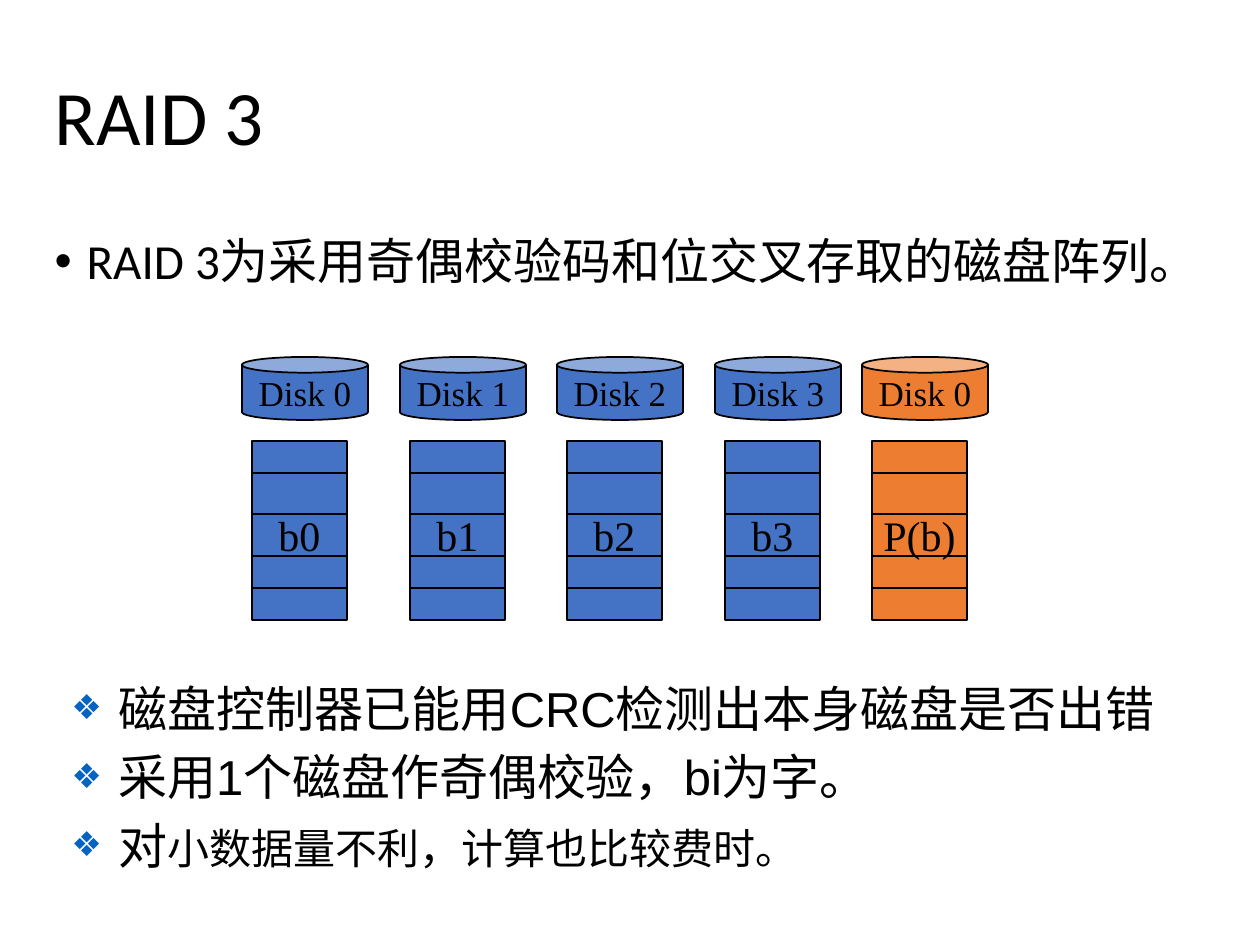
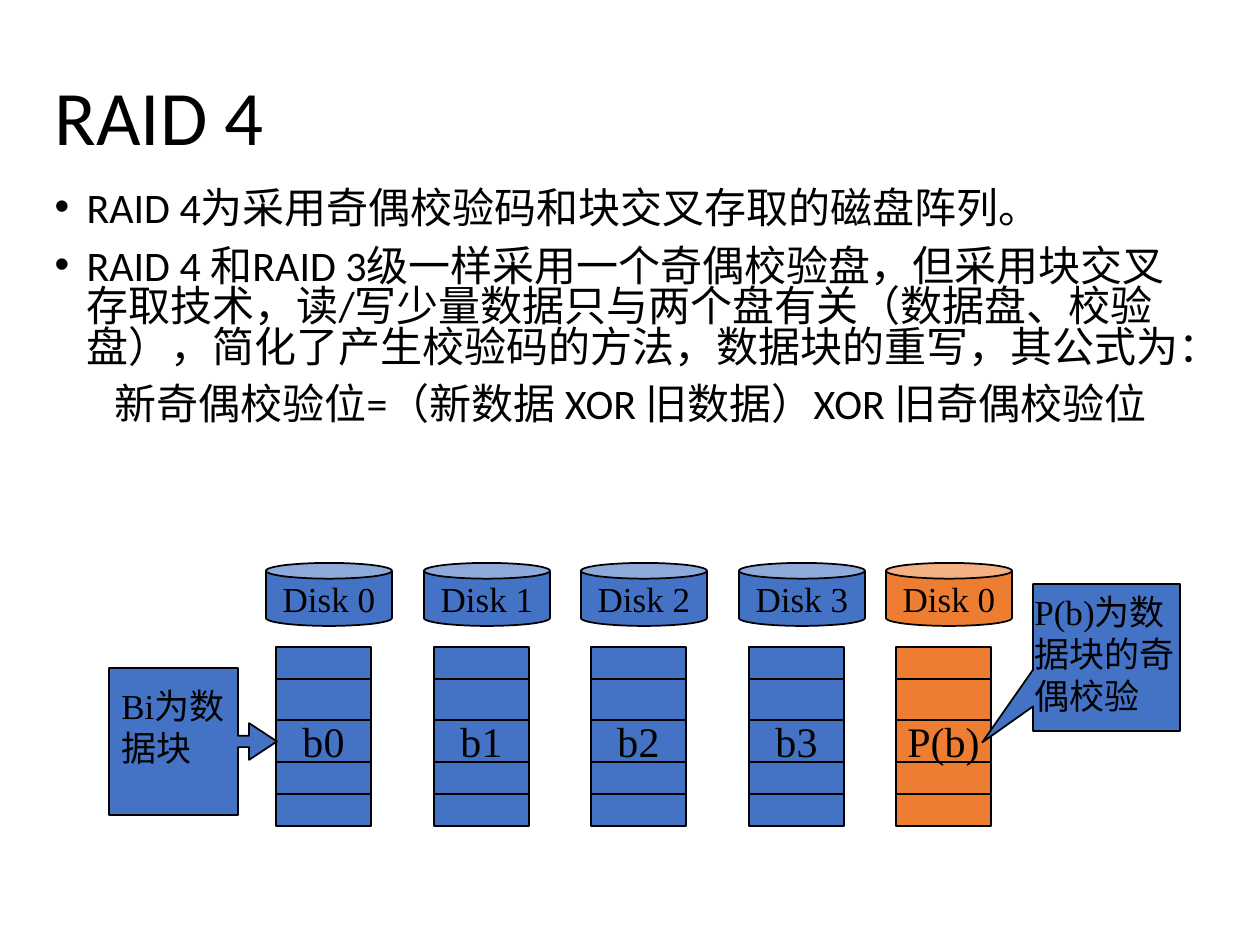
from lxml import etree
from pptx import Presentation
from pptx.dml.color import RGBColor
from pptx.enum.shapes import MSO_CONNECTOR, MSO_SHAPE
from pptx.enum.text import MSO_ANCHOR, MSO_AUTO_SIZE, PP_ALIGN
from pptx.oxml.ns import qn
from pptx.util import Pt

PX = 914400 / 126
LEFT, CENTER = PP_ALIGN.LEFT, PP_ALIGN.CENTER
TOP, MIDDLE = MSO_ANCHOR.TOP, MSO_ANCHOR.MIDDLE
CAN, RECT = MSO_SHAPE.CAN, MSO_SHAPE.RECTANGLE
WEDGE, ARROW = MSO_SHAPE.RECTANGULAR_CALLOUT, MSO_SHAPE.RIGHT_ARROW_CALLOUT
LINE = MSO_CONNECTOR.STRAIGHT

BLACK = RGBColor(0x00, 0x00, 0x00)
BLUE = RGBColor(0x44, 0x72, 0xC4)
ORANGE = RGBColor(0xED, 0x7D, 0x31)
MARK = RGBColor(0x05, 0x63, 0xC1)
SANS, ARIAL, SERIF = "Calibri", "Arial", "Times New Roman"

TITLE_BOX = (42, 42, 1177, 157)
DISKS = [  # offset, disk label, block label, colour
    (0, "Disk 0", "b0", BLUE),
    (158, "Disk 1", "b1", BLUE),
    (315, "Disk 2", "b2", BLUE),
    (473, "Disk 3", "b3", BLUE),
    (620, "Disk 0", "P(b)", ORANGE),
]
RULES = (32, 147)

RAID3 = {
    "title": "RAID 3",
    "box": (42, 231, 1218, 84),
    "size": 28,
    "pitch": 0.9,
    "body": [("RAID 3为采用奇偶校验码和位交叉存取的磁盘阵列。", "•")],
    "disks": (242, 357),
}
NOTES_BOX = (59, 672, 1138, 243)
NOTES = [
    [("磁盘控制器已能用CRC检测出本身磁盘是否出错", 28)],
    [("采用1个磁盘作奇偶校验，bi为字。", 28)],
    [("对", 28), ("小数据量不利，计算也比较费时。", 24)],
]
RAID4 = {
    "title": "RAID 4",
    "box": (42, 185, 1177, 359),
    "size": 24,
    "pitch": 0.8,
    "body": [
        ("RAID 4为采用奇偶校验码和块交叉存取的磁盘阵列。", "•"),
        ("RAID 4 和RAID 3级一样采用一个奇偶校验盘，但采用块交叉存取技术，"
         "读/写少量数据只与两个盘有关（数据盘、校验盘），简化了产生校验码的方法，"
         "数据块的重写，其公式为：", "•"),
        ("新奇偶校验位=（新数据 XOR 旧数据）XOR 旧奇偶校验位", None),
    ],
    "disks": (266, 563),
}
CALLS = [  # shape, box, adjustments, text, text box
    (WEDGE, (1033, 584, 147, 147), (-0.845, 0.577),
     "P(b)为数据块的奇偶校验", (1022, 584, 179, 139)),
    (ARROW, (109, 668, 168, 147), (0.077, 0.125, 0.19, 0.768),
     "Bi为数据块", (109, 678, 136, 97)),
]


def emu(*nums):
    return [round(n * PX) for n in nums]


def style(par, font, size, align=LEFT):
    par.alignment = align
    par.font.name, par.font.size = font, Pt(size)
    par.font.color.rgb = BLACK


def bullet(par, mark, indent, color=None, scale=None):
    """Give a paragraph a hanging indent and a mark, or no mark for None."""
    pr = par._p.get_or_add_pPr()
    step, = emu(indent)
    pr.set("marL", str(step))
    pr.set("indent", str(-step))
    if color is not None:
        clr = etree.SubElement(pr, qn("a:buClr"))
        etree.SubElement(clr, qn("a:srgbClr"), val=str(color))
    if scale:
        etree.SubElement(pr, qn("a:buSzPct"), val=str(scale * 1000))
    if mark:
        etree.SubElement(pr, qn("a:buFont"), typeface=ARIAL)
        etree.SubElement(pr, qn("a:buChar"), char=mark)
    else:
        etree.SubElement(pr, qn("a:buNone"))


def place(holder, box, anchor):
    holder.left, holder.top, holder.width, holder.height = emu(*box)
    frame = holder.text_frame
    frame.auto_size = MSO_AUTO_SIZE.NONE
    frame.vertical_anchor = anchor
    return frame


def add_par(frame, first):
    return frame.paragraphs[0] if first else frame.add_paragraph()


def add_box(slide, box):
    frame = slide.shapes.add_textbox(*emu(*box)).text_frame
    frame.word_wrap = True
    return frame


def add_form(shapes, kind, box, fill, text="", size=20):
    form = shapes.add_shape(kind, *emu(*box))
    form.shadow.inherit = False
    form.fill.solid()
    form.fill.fore_color.rgb = fill
    form.line.color.rgb = BLACK
    form.line.width = Pt(1)
    if text:
        frame = form.text_frame
        frame.word_wrap = False
        frame.vertical_anchor = MIDDLE
        frame.text = text
        style(frame.paragraphs[0], SERIF, size, CENTER)
    return form


def add_rule(shapes, x, y, width):
    rule = shapes.add_connector(LINE, *emu(x, y, x + width, y))
    rule.line.color.rgb = BLACK
    rule.line.width = Pt(1)
    etree.SubElement(rule._element.spPr, qn("a:effectLst"))


def add_disks(slide, left, top):
    for shift, name, _, fill in DISKS:
        add_form(slide.shapes, CAN, (left + shift, top, 126, 63), fill, name)
    y = top + 84
    for shift, _, name, fill in DISKS:
        x = left + shift + 10
        stack = slide.shapes.add_group_shape().shapes
        add_form(stack, RECT, (x, y, 95, 179), fill)
        add_form(stack, RECT, (x, y + 73, 95, 42), fill, name, 24)
        for drop in RULES:
            add_rule(stack, x, y + drop, 95)


def add_page(deck, page):
    slide = deck.slides.add_slide(deck.slide_layouts[1])
    frame = place(slide.shapes.title, TITLE_BOX, MIDDLE)
    frame.text = page["title"]
    head = frame.paragraphs[0]
    head.line_spacing = 0.9
    style(head, SANS, 44)

    frame = place(slide.placeholders[1], page["box"], TOP)
    for i, (text, mark) in enumerate(page["body"]):
        par = add_par(frame, i == 0)
        par.text = text
        bullet(par, mark, 32)
        par.line_spacing = page["pitch"]
        par.space_before = Pt(10 if i else 0)
        style(par, SANS, page["size"], LEFT if mark else CENTER)
    add_disks(slide, *page["disks"])
    return slide


def add_notes(slide):
    frame = add_box(slide, NOTES_BOX)
    for i, parts in enumerate(NOTES):
        par = add_par(frame, i == 0)
        bullet(par, "❖", 47, MARK, 70)
        par.space_before = Pt(5.6 if i else 0)
        style(par, ARIAL, parts[0][1])
        for text, size in parts:
            run = par.add_run()
            run.text = text
            run.font.size = Pt(size)


def add_calls(slide):
    for kind, box, bends, text, area in CALLS:
        form = add_form(slide.shapes, kind, box, BLUE)
        for i, bend in enumerate(bends):
            form.adjustments[i] = bend
        frame = add_box(slide, area)
        frame.text = text
        style(frame.paragraphs[0], SERIF, 20)


def main():
    deck = Presentation()
    deck.slide_width, deck.slide_height = emu(1260, 945)
    add_notes(add_page(deck, RAID3))
    add_calls(add_page(deck, RAID4))
    deck.save("out.pptx")


if __name__ == "__main__":
    main()
